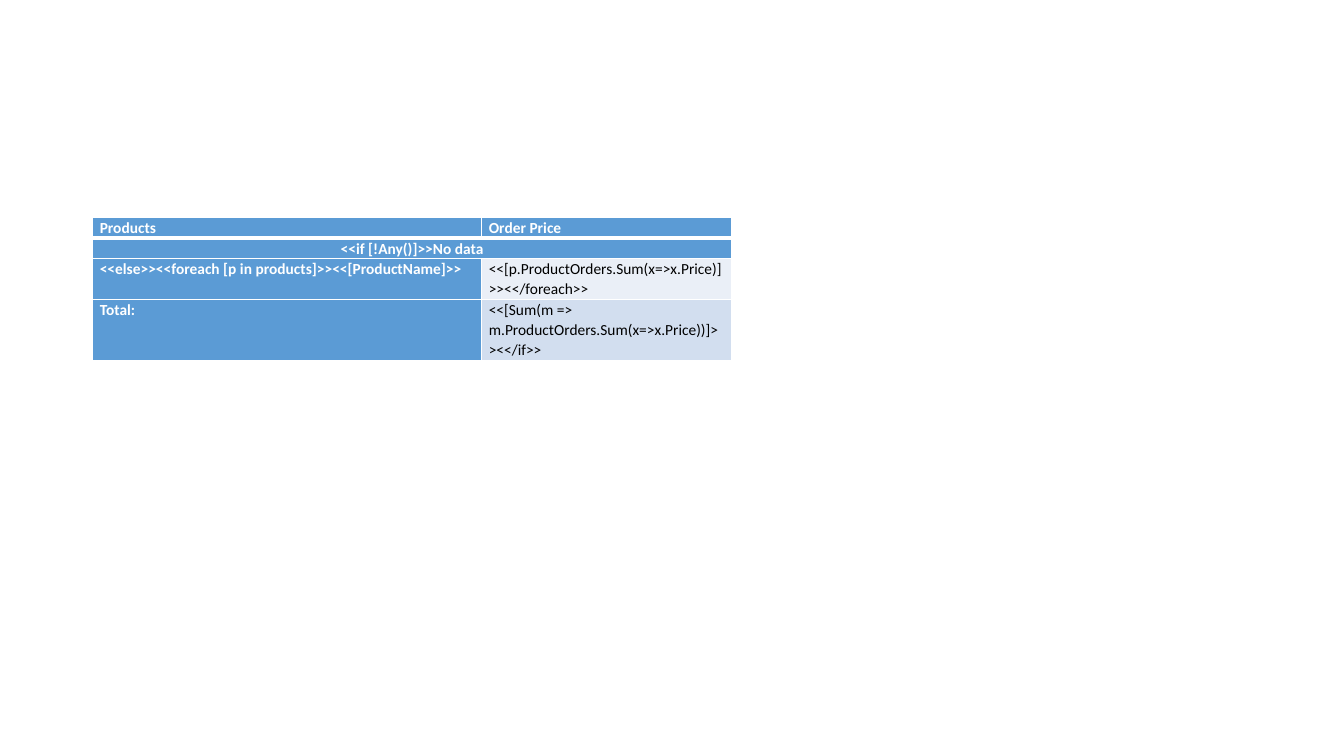
from lxml.etree import SubElement as Sub
from pptx import Presentation as Deck
from pptx.dml.color import RGBColor as Color
from pptx.enum.text import PP_ALIGN as Align
from pptx.oxml.ns import qn
from pptx.util import Inches, Pt

BLUE, PALE, MIST = "5B9BD5", "EAEFF7", "D2DEEF"
WHITE, BLACK = "FFFFFF", "000000"


def tint(code):
    return Color.from_string(code)


def write(frame, text, size=11, color=WHITE, bold=True, align=Align.LEFT):
    frame.word_wrap = True
    para = frame.paragraphs[0]
    para.alignment = align
    para.line_spacing = 1.07
    run = para.add_run()
    run.text = text
    font = run.font
    font.name, font.size, font.bold = "Calibri", Pt(size), bold
    font.color.rgb = tint(color)


class Page:
    """Slide on a grid of 200 columns by 150 rows."""

    def __init__(self, deck):
        self.slide = deck.slides.add_slide(deck.slide_layouts[6])
        self.col = deck.slide_width / 200
        self.row = deck.slide_height / 150

    def table(self, left, top, cols, rows):
        """Add a plain table; cols and rows list sizes in grid units."""
        wide, high = sum(cols), sum(rows)
        frame = self.slide.shapes.add_table(
            len(rows), len(cols), int(left * self.col), int(top * self.row),
            int(wide * self.col), int(high * self.row))
        grid = frame.table
        grid.first_row = grid.horz_banding = False
        for part, size in zip(grid.columns, cols):
            part.width = int(size * self.col)
        for part, size in zip(grid.rows, rows):
            part.height = int(size * self.row)
        return grid

    def cell(self, cell, fill, base=1):
        """Fill a cell and rule it in white; base is the bottom line's width."""
        cell.margin_left = cell.margin_right = Inches(0.07)
        cell.margin_top = cell.margin_bottom = 0
        props = cell._tc.get_or_add_tcPr()
        for side in "LRTB":
            width = base if side == "B" else 1
            line = Sub(props, qn(f"a:ln{side}"), w=str(Pt(width)))
            Sub(Sub(line, qn("a:solidFill")), qn("a:srgbClr"), val=WHITE)
        cell.fill.solid()
        cell.fill.fore_color.rgb = tint(fill)


def main():
    deck = Deck()
    deck.slide_width, deck.slide_height = Inches(13.33), Inches(7.5)
    page = Page(deck)
    lines = [1, 1, 2, 3]
    grid = page.table(13.8, 43.2, [57.9, 37.2], [4 * n for n in lines])
    grid.cell(1, 0).merge(grid.cell(1, 1))
    body = [
        [("Products", BLUE), ("Order Price", BLUE)],
        [("<<if [!Any()]>>No data", BLUE), ("", BLUE)],
        [("<<else>><<foreach [p in products]>><<[ProductName]>>", BLUE),
         ("<<[p.ProductOrders.Sum(x=>x.Price)]>><</foreach>>", PALE)],
        [("Total:", BLUE),
         ("<<[Sum(m => m.ProductOrders.Sum(x=>x.Price))]>><</if>>", MIST)],
    ]
    for r, row in enumerate(body):
        for c, (text, fill) in enumerate(row):
            cell = grid.cell(r, c)
            page.cell(cell, fill, base=1 if r else 3)
            if text:
                dark = fill == BLUE
                write(cell.text_frame, text, bold=dark,
                      color=WHITE if dark else BLACK,
                      align=Align.CENTER if cell.is_merge_origin else Align.LEFT)
    deck.save("out.pptx")


if __name__ == "__main__":
    main()
